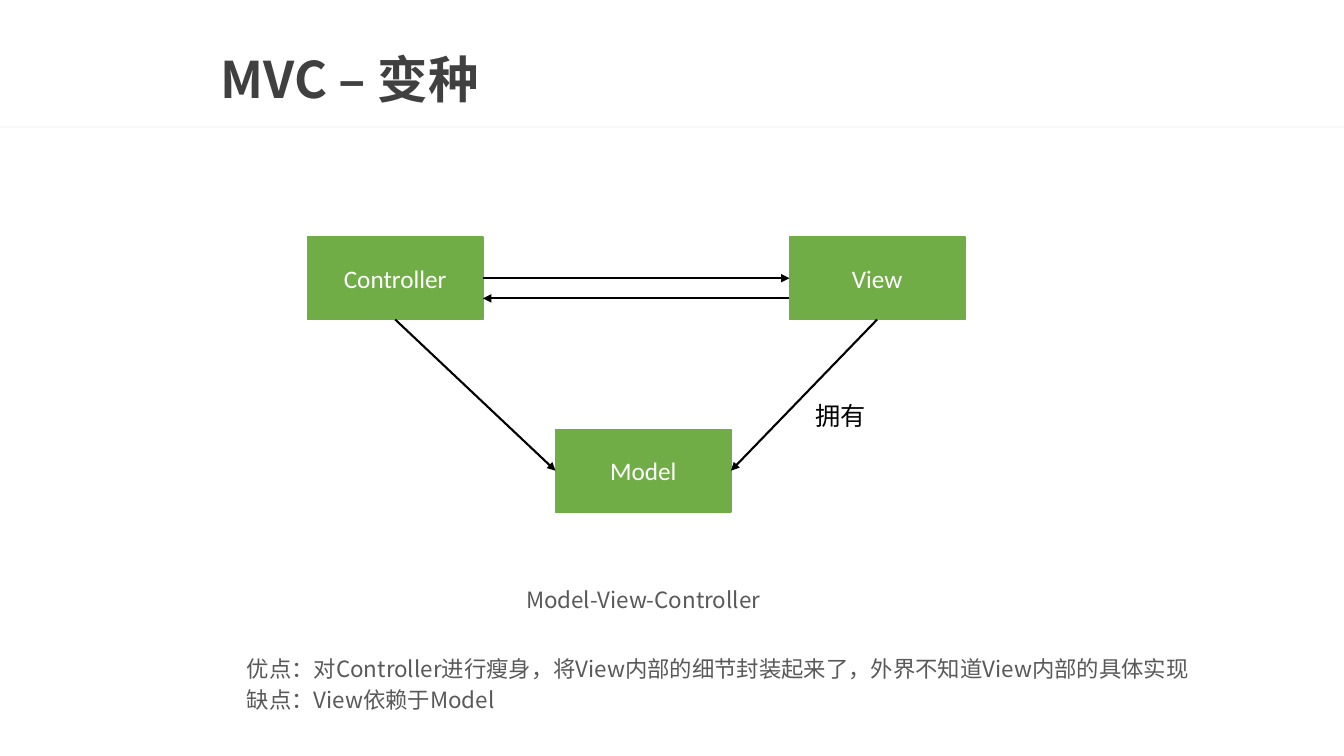
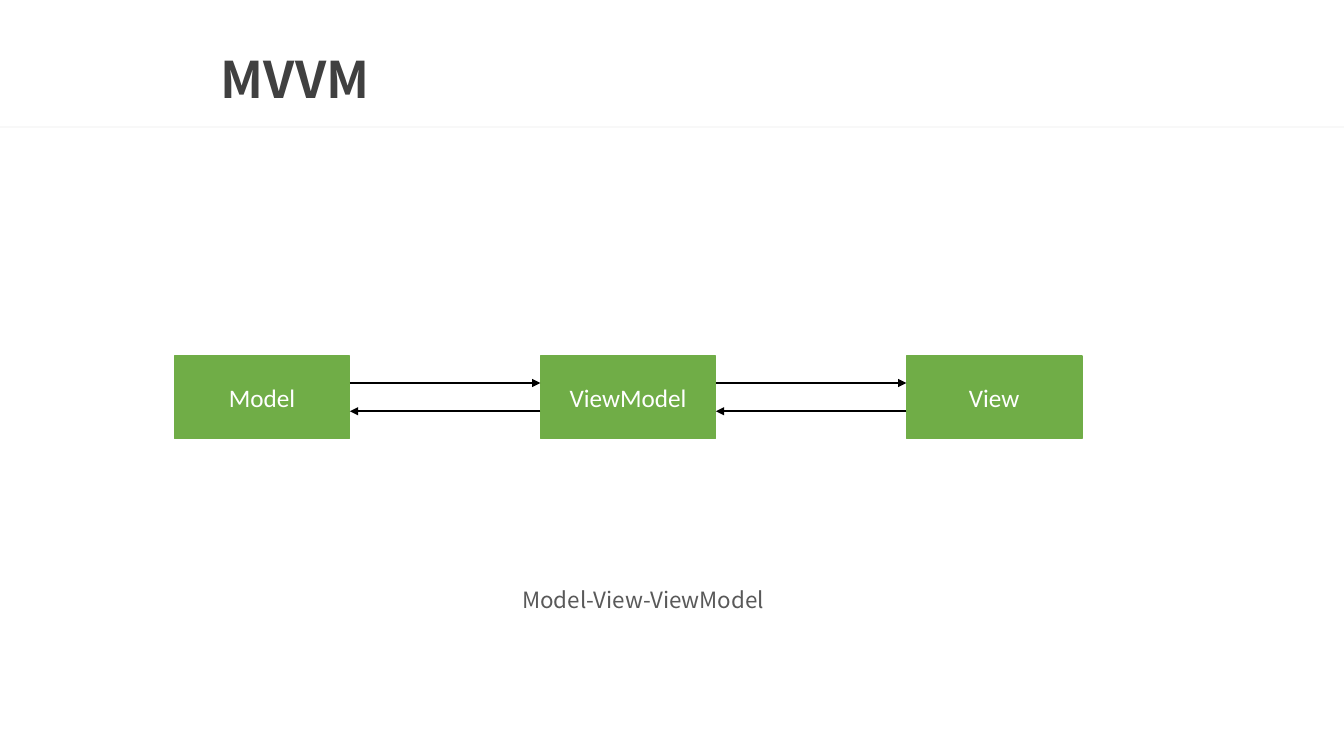
from dataclasses import dataclass

from lxml import etree
from pptx import Presentation
from pptx.dml.color import RGBColor
from pptx.enum import shapes, text
from pptx.oxml import ns
from pptx.util import Inches, Length, Pt

# Shared look
COLORS = {"title": "404040", "body": "595959", "node": "70AD47", "node_text": "FFFFFF",
          "ink": "000000", "rule": "EAEAEA"}
LATIN, CJK = "Calibri", "Noto Sans CJK SC"
NODE_WIDTH, NODE_HEIGHT = 1.74, 0.82
BODY_SPACING = Pt(22)
Point = tuple[float, float]


@dataclass(frozen=True)
class Node:
    label: str
    left: float
    top: float

    @property
    def right(self) -> float:
        return self.left + NODE_WIDTH

    @property
    def middle(self) -> float:
        return self.top + NODE_HEIGHT / 2

    @property
    def bottom_center(self) -> Point:
        return self.left + NODE_WIDTH / 2, self.top + NODE_HEIGHT


@dataclass(frozen=True)
class Arrow:
    start: Point
    end: Point


@dataclass(frozen=True)
class TextStyle:
    size: int
    color: str
    font: str = CJK
    bold: bool = False
    align: text.PP_ALIGN = text.PP_ALIGN.LEFT
    spacing: Length | float | None = None
    anchor: text.MSO_ANCHOR = text.MSO_ANCHOR.MIDDLE
    wrap: bool = True


TITLE = TextStyle(36, "title", bold=True, spacing=0.9)
NODE = TextStyle(18, "node_text", LATIN, align=text.PP_ALIGN.CENTER)
CAPTION = TextStyle(16, "body", align=text.PP_ALIGN.CENTER, spacing=BODY_SPACING)
BODY = TextStyle(16, "body", spacing=BODY_SPACING)
LABEL = TextStyle(18, "ink", LATIN, anchor=text.MSO_ANCHOR.TOP, wrap=False)


def color(name: str) -> RGBColor:
    return RGBColor.from_string(COLORS[name])


# Drawing functions
def write(box, content: str, style: TextStyle) -> None:
    frame = box.text_frame
    frame.text = content
    frame.word_wrap = style.wrap
    frame.vertical_anchor = style.anchor
    for para in frame.paragraphs:
        para.alignment = style.align
        if style.spacing is not None:
            para.line_spacing = style.spacing
        for span in para.runs:
            span.font.size = Pt(style.size)
            span.font.bold = style.bold
            span.font.name = style.font
            span.font.color.rgb = color(style.color)
            east_asian = etree.SubElement(span.font._element, ns.qn("a:ea"))
            east_asian.set("typeface", CJK)


def add_text(page, left: float, top: float, width: float, height: float,
             content: str, style: TextStyle) -> None:
    box = page.shapes.add_textbox(Inches(left), Inches(top), Inches(width), Inches(height))
    write(box, content, style)


def add_box(page, left: float, top: float, width: float, height: float, fill: str):
    box = page.shapes.add_shape(shapes.MSO_SHAPE.RECTANGLE, Inches(left), Inches(top),
                                Inches(width), Inches(height))
    box.shadow.inherit = False
    box.fill.solid()
    box.fill.fore_color.rgb = color(fill)
    return box


def add_node(page, node: Node) -> None:
    box = add_box(page, node.left, node.top, NODE_WIDTH, NODE_HEIGHT, "node")
    box.line.color.rgb = color("node")
    box.line.width = Pt(1)
    write(box, node.label, NODE)


def add_arrow(page, arrow: Arrow) -> None:
    line = page.shapes.add_connector(shapes.MSO_CONNECTOR.STRAIGHT,
                                     *map(Inches, arrow.start + arrow.end))
    line.line.color.rgb = color("ink")
    line.line.width = Pt(1.5)
    properties = line._element.spPr
    head = etree.SubElement(properties.find(ns.qn("a:ln")), ns.qn("a:tailEnd"))
    head.set("type", "triangle")
    etree.SubElement(properties, ns.qn("a:effectLst"))


def exchange(first: Node, second: Node, there: float, back: float) -> list[Arrow]:
    """Opposite arrows between neighbours, at the given heights."""
    return [Arrow((first.right, there), (second.left, there)),
            Arrow((second.left, back), (first.right, back))]


def add_page(deck, title: str, caption: str, nodes: list[Node], arrows: list[Arrow]):
    page = deck.slides.add_slide(deck.slide_layouts[6])
    rule = add_box(page, -0.01, 1.25, 13.34, 0.02, "rule")
    rule.line.fill.background()
    tint = rule._element.spPr.find(".//" + ns.qn("a:srgbClr"))
    etree.SubElement(tint, ns.qn("a:alpha")).set("val", "32000")
    add_text(page, 2.09, 0.43, 11.03, 0.78, title, TITLE)
    for node in nodes:
        add_node(page, node)
    for arrow in arrows:
        add_arrow(page, arrow)
    add_text(page, 4.66, 5.68, 3.44, 0.49, caption, CAPTION)
    return page


deck = Presentation()
deck.slide_width, deck.slide_height = Inches(13.33), Inches(7.5)

# MVC variant
controller = Node("Controller", 3.05, 2.35)
view = Node("View", 7.83, 2.35)
model = Node("Model", 5.51, 4.26)
arrows = exchange(controller, view, view.middle, view.middle + 0.2) + [
    Arrow(controller.bottom_center, (model.left, model.middle)),
    Arrow(view.bottom_center, (model.right, model.middle)),
]
page = add_page(deck, "MVC – 变种", "Model-View-Controller", [controller, view, model], arrows)
add_text(page, 2.35, 6.44, 9.8, 0.65,
         "优点：对Controller进行瘦身，将View内部的细节封装起来了，外界不知道View内部的具体实现\n"
         "缺点：View依赖于Model", BODY)
add_text(page, 7.99, 3.92, 0.71, 0.4, "拥有", LABEL)

# MVVM: three nodes in an even row
row = [Node(label, 1.73 + 3.63 * index, 3.53)
       for index, label in enumerate(["Model", "ViewModel", "View"])]
arrows = [arrow for first, second in zip(row, row[1:])
          for arrow in exchange(first, second, 3.8, 4.08)]
add_page(deck, "MVVM", "Model-View-ViewModel", row, arrows)

deck.save("out.pptx")
